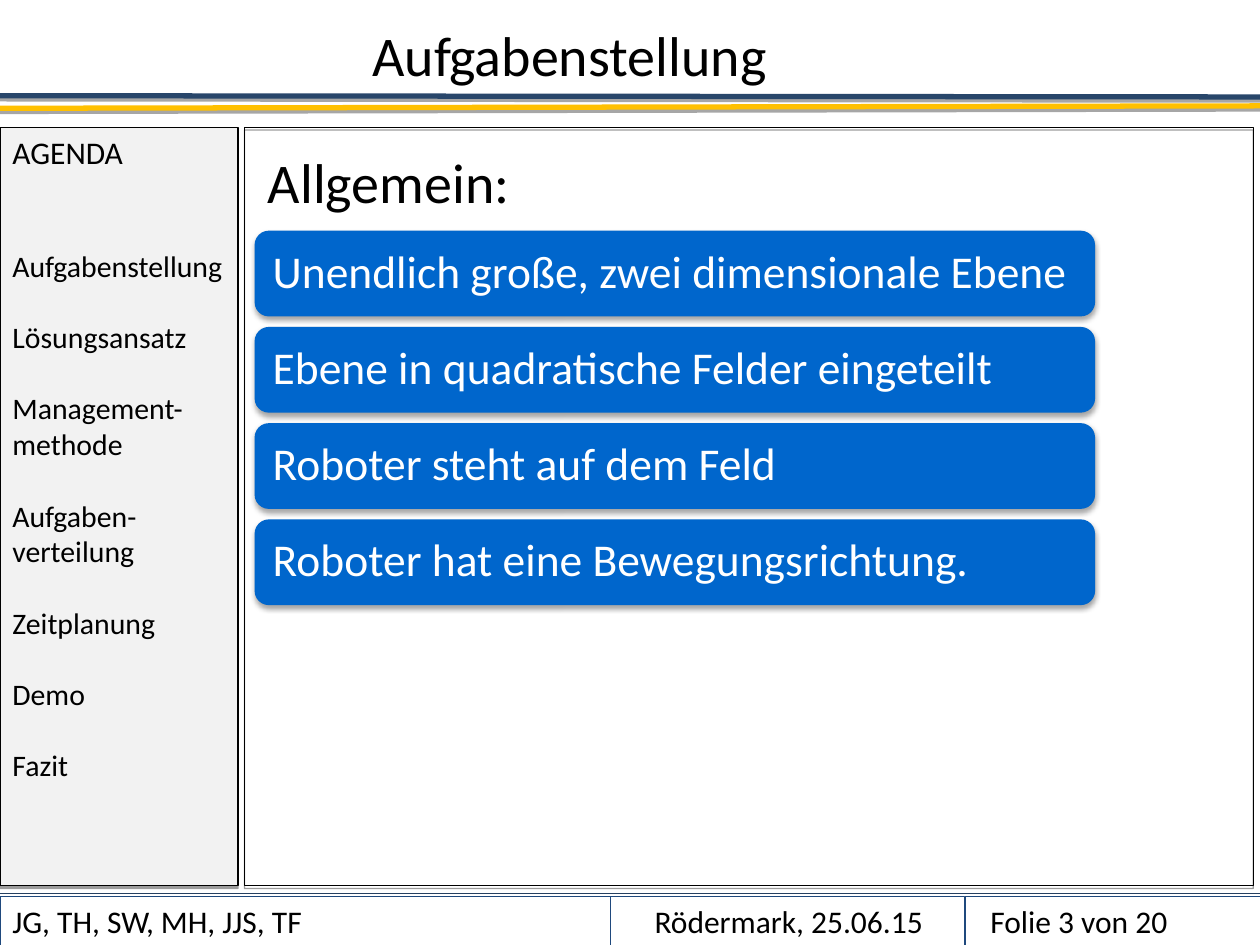
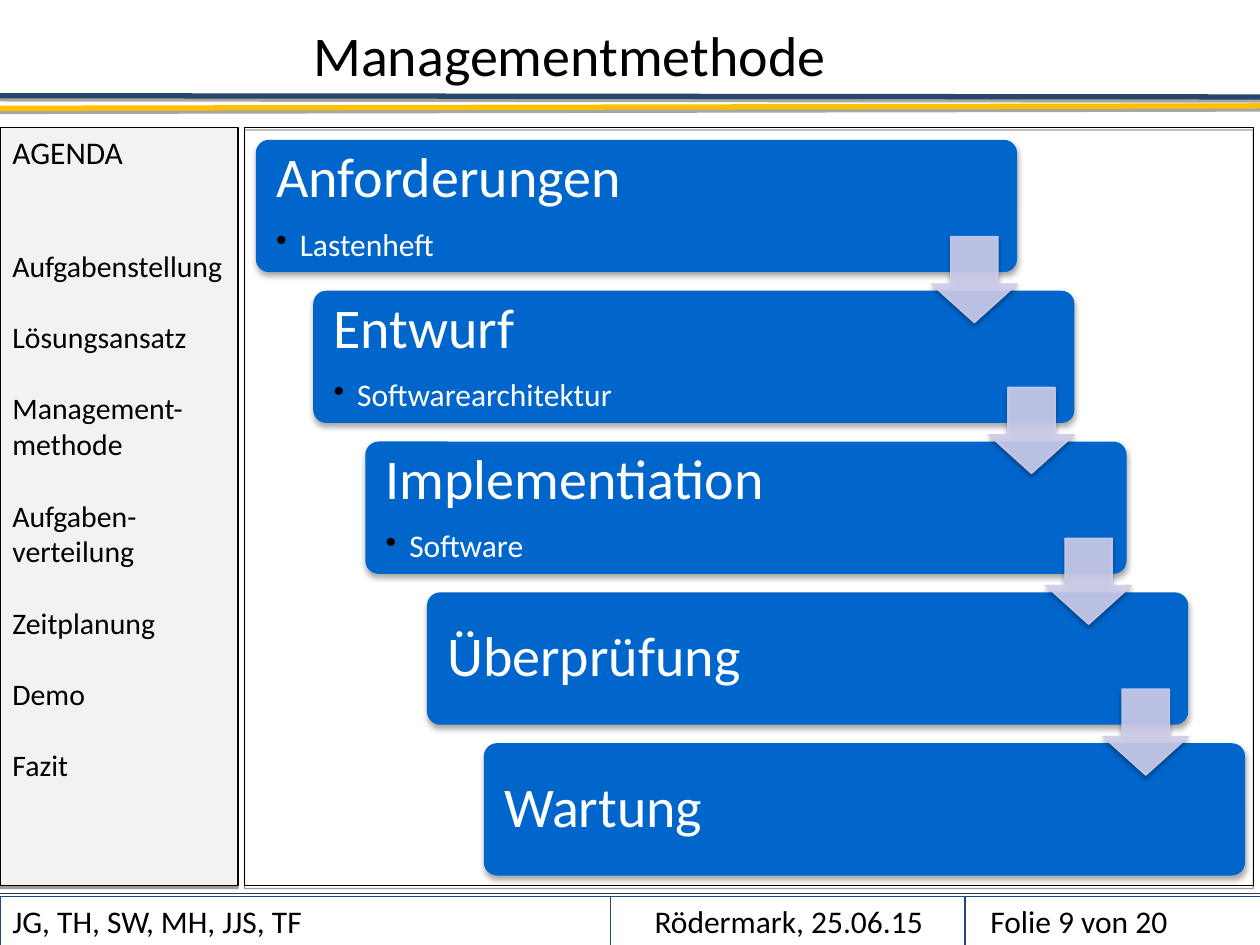
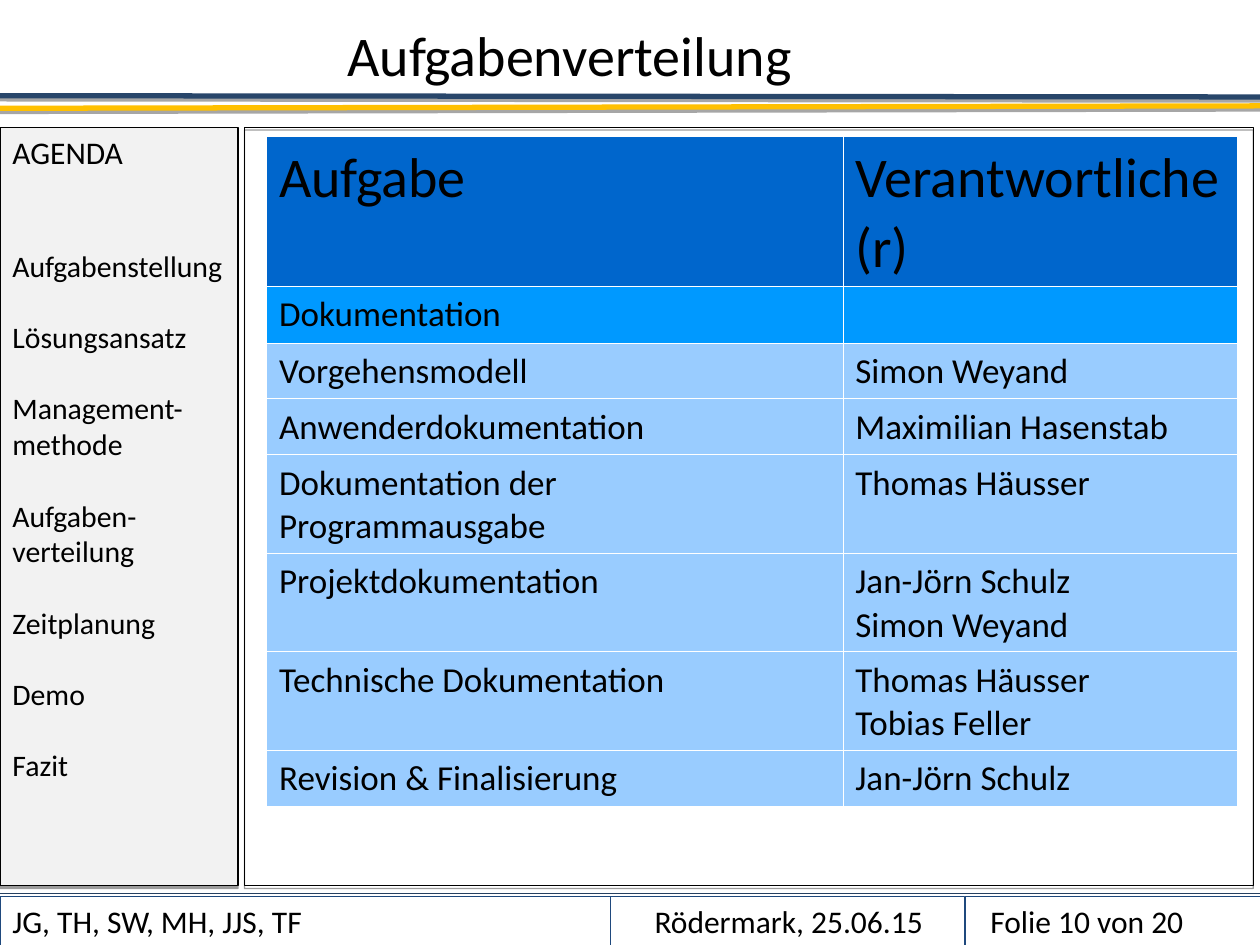
"""Build three project slides with a shared agenda, title and footer."""

from dataclasses import dataclass
from typing import Any, Optional

from lxml.etree import SubElement
from pptx import Presentation
from pptx.dml.color import RGBColor
from pptx.enum.shapes import MSO_CONNECTOR, MSO_SHAPE
from pptx.enum.text import MSO_ANCHOR, PP_ALIGN
from pptx.oxml.ns import qn
from pptx.util import Pt

FONT = "Calibri"
BLACK = "000000"
WHITE = "FFFFFF"
BLUE = "0066CC"
SKY = "0099FF"
PALE_BLUE = "99CCFF"
LILAC = "CECEEC"
PALE_GREY = "F2F2F2"
FOOTER_BLUE = "1F497D"

AGENDA = ["Aufgabenstellung", "Lösungsansatz", "Management-methode", "Aufgaben-verteilung",
          "Zeitplanung", "Demo", "Fazit"]
AGENDA_LINE = 20.4
AGENDA_GAP = 43.5


@dataclass(frozen=True)
class Area:
    """A rectangle in points."""

    left: float
    top: float
    width: float
    height: float

    def lengths(self) -> list[Pt]:
        """Return the four values as lengths."""
        return [Pt(value) for value in (self.left, self.top, self.width, self.height)]


@dataclass(frozen=True)
class Shadow:
    """A shadow that falls straight down."""

    opacity: int
    blur: float
    distance: float


@dataclass(frozen=True)
class Look:
    """Fill, outline and shadow of a shape."""

    fill: Optional[str] = None
    line: Optional[str] = None
    line_width: float = 0.75
    shadow: Optional[Shadow] = None
    opacity: int = 100


@dataclass(frozen=True)
class Rule:
    """A line across the full page."""

    start_top: float
    end_top: float
    colour: str
    width: float
    shadow: Optional[Shadow] = None


@dataclass(frozen=True)
class FooterCell:
    """One cell of the footer."""

    left: float
    width: float
    inset: float
    align: PP_ALIGN
    text: str


@dataclass(frozen=True)
class Step:
    """One stage of the waterfall."""

    left: float
    name: str
    result: Optional[str] = None


@dataclass(frozen=True)
class TaskRow:
    """One row of the task table."""

    height: float
    task: str
    people: tuple[str, ...] = ()
    fill: str = PALE_BLUE
    size: float = 20


RULE_SHADOW = Shadow(35, 0, 1.8)
PANEL_SHADOW = Shadow(38, 0, 1.6)
CARD_SHADOW = Shadow(35, 3.1, 1.8)

SIDEBAR = Look(PALE_GREY, BLACK, shadow=PANEL_SHADOW)
PANEL = Look(line=BLACK, shadow=PANEL_SHADOW)
FOOTER = Look(line=FOOTER_BLUE, line_width=0.25)
CARD = Look(BLUE, shadow=CARD_SHADOW)
ARROW = Look(LILAC, LILAC, shadow=CARD_SHADOW, opacity=90)

RULES = [
    Rule(54.7, 55.4, "28466A", 3, RULE_SHADOW),
    Rule(61.9, 60.5, "FFC000", 3, RULE_SHADOW),
    Rule(510.5, 510.5, "254061", 0.75),
]

FOOTER_CELLS = [
    FooterCell(0, 348.5, 7.2, PP_ALIGN.LEFT, "JG, TH, SW, MH, JJS, TF"),
    FooterCell(348.5, 202.5, 11.5, PP_ALIGN.CENTER, "Rödermark, 25.06.15"),
    FooterCell(551.5, 168.5, 14.4, PP_ALIGN.LEFT, "Folie {number} von 20"),
]

FACTS = [
    "Unendlich große, zwei dimensionale Ebene",
    "Ebene in quadratische Felder eingeteilt",
    "Roboter steht auf dem Feld",
    "Roboter hat eine Bewegungsrichtung.",
]

STEPS = [
    Step(146.2, "Anforderungen", "Lastenheft"),
    Step(179, "Entwurf", "Softwarearchitektur"),
    Step(208.8, "Implementiation", "Software"),
    Step(244, "Überprüfung"),
    Step(276.5, "Wartung"),
]
STEP_PITCH = 86.2
ARROW_SHIFT = 32.65

TASKS = [
    TaskRow(85.3, "Aufgabe", ("Verantwortliche(r)",), BLUE, 32),
    TaskRow(32.5, "Dokumentation", fill=SKY),
    TaskRow(31.6, "Vorgehensmodell", ("Simon Weyand",)),
    TaskRow(32, "Anwenderdokumentation", ("Maximilian Hasenstab",)),
    TaskRow(56.4, "Dokumentation der Programmausgabe", ("Thomas Häusser",)),
    TaskRow(56.2, "Projektdokumentation", ("Jan-Jörn Schulz", "Simon Weyand")),
    TaskRow(56.4, "Technische Dokumentation", ("Thomas Häusser", "Tobias Feller")),
    TaskRow(32, "Revision & Finalisierung", ("Jan-Jörn Schulz",)),
]


def colour(value: str) -> RGBColor:
    """Turn a hex string into a colour."""
    return RGBColor.from_string(value)


def set_format(target: Any, values: dict[str, Any]) -> None:
    """Set each named attribute on the target."""
    for name, value in values.items():
        setattr(target, name, value)


def set_opacity(element: Any, percent: int) -> None:
    """Give a colour element an opacity."""
    SubElement(element, qn("a:alpha"), val=str(percent * 1000))


def set_shadow(shape: Any, shadow: Optional[Shadow]) -> None:
    """Replace the theme shadow by the given one or by none."""
    properties = shape._element.spPr
    effects = properties.find(qn("a:effectLst"))
    if effects is None:
        effects = SubElement(properties, qn("a:effectLst"))
    if shadow:
        outer = SubElement(effects, qn("a:outerShdw"), blurRad=str(Pt(shadow.blur)),
                           dist=str(Pt(shadow.distance)), dir="5400000", rotWithShape="0")
        set_opacity(SubElement(outer, qn("a:srgbClr"), val=BLACK), shadow.opacity)


def add_rule(page: Any, rule: Rule) -> None:
    """Draw a line across the page."""
    line = page.shapes.add_connector(
        MSO_CONNECTOR.STRAIGHT, Pt(0), Pt(rule.start_top), Pt(720), Pt(rule.end_top))
    line.line.color.rgb = colour(rule.colour)
    line.line.width = Pt(rule.width)
    set_shadow(line, rule.shadow)


def add_block(page: Any, kind: MSO_SHAPE, area: Area, look: Look,
              adjustments: tuple[float, ...] = ()) -> Any:
    """Draw a preset shape."""
    block = page.shapes.add_shape(kind, *area.lengths())
    for index, value in enumerate(adjustments):
        block.adjustments[index] = value
    if look.fill:
        block.fill.solid()
        block.fill.fore_color.rgb = colour(look.fill)
    else:
        block.fill.background()
    if look.line:
        block.line.color.rgb = colour(look.line)
        block.line.width = Pt(look.line_width)
    else:
        block.line.fill.background()
    if look.opacity < 100:
        for element in block._element.spPr.iter(qn("a:srgbClr")):
            set_opacity(element, look.opacity)
    block.shadow.inherit = False
    set_shadow(block, look.shadow)
    return block


def set_frame(box: Any, anchor: MSO_ANCHOR, side: float = 7.2, edge: float = 3.6) -> Any:
    """Set wrapping, anchor and margins of a text frame."""
    set_format(box.text_frame, {
        "word_wrap": True, "vertical_anchor": anchor,
        "margin_left": Pt(side), "margin_right": Pt(min(side, 9.5)),
        "margin_top": Pt(edge), "margin_bottom": Pt(edge),
    })
    return box.text_frame


def write(frame: Any, text: str, size: float, ink: str = BLACK, **paragraph: Any) -> Any:
    """Write a paragraph into the frame, using the empty first one if there is one."""
    first = frame.paragraphs[0]
    para = frame.add_paragraph() if first.runs else first
    set_format(para, {"alignment": PP_ALIGN.LEFT} | paragraph)
    span = para.add_run()
    span.text = text
    set_format(span.font, {"name": FONT, "size": Pt(size)})
    span.font.color.rgb = colour(ink)
    return para


def add_bullet(para: Any, indent: float) -> None:
    """Put a black bullet before the paragraph."""
    properties = para._p.get_or_add_pPr()
    properties.set("marL", str(Pt(indent)))
    properties.set("indent", str(-Pt(indent)))
    SubElement(SubElement(properties, qn("a:buClr")), qn("a:srgbClr"), val=BLACK)
    SubElement(properties, qn("a:buChar"), char="•")


def add_text(page: Any, area: Area, text: str, anchor: MSO_ANCHOR, align: PP_ALIGN) -> None:
    """Add a large line of text."""
    box = page.shapes.add_textbox(*area.lengths())
    write(set_frame(box, anchor), text, 32, alignment=align)


def add_page(deck: Any, title: str, number: int) -> Any:
    """Add a page with everything the pages share."""
    page = deck.slides.add_slide(deck.slide_layouts[6])
    for rule in RULES:
        add_rule(page, rule)
    sidebar = add_block(page, MSO_SHAPE.RECTANGLE, Area(0, 72.7, 136, 433.5), SIDEBAR)
    frame = set_frame(sidebar, MSO_ANCHOR.TOP)
    write(frame, "AGENDA", 18)
    for index, topic in enumerate(AGENDA):
        write(frame, topic, 17, space_before=Pt(AGENDA_LINE if index else AGENDA_GAP))
    add_block(page, MSO_SHAPE.RECTANGLE, Area(139.7, 72.7, 576.5, 433.5), PANEL)
    for cell in FOOTER_CELLS:
        area = Area(cell.left, 512, cell.width, 28)
        block = add_block(page, MSO_SHAPE.RECTANGLE, area, FOOTER)
        write(set_frame(block, MSO_ANCHOR.TOP, cell.inset),
              cell.text.format(number=number), 18, alignment=cell.align)
    add_text(page, Area(92, 5.8, 467, 49.7), title, MSO_ANCHOR.MIDDLE, PP_ALIGN.CENTER)
    return page


def add_facts(page: Any) -> None:
    """Draw the general facts as a stack of cards."""
    add_text(page, Area(146, 80.6, 560, 420), "Allgemein:", MSO_ANCHOR.TOP, PP_ALIGN.LEFT)
    for index, fact in enumerate(FACTS):
        area = Area(145.5, 131.8 + 55 * index, 480.3, 49)
        card = add_block(page, MSO_SHAPE.ROUNDED_RECTANGLE, area, CARD)
        write(set_frame(card, MSO_ANCHOR.MIDDLE, 8, 8), fact, 26, WHITE, line_spacing=0.9)


def add_waterfall(page: Any) -> None:
    """Draw the stages and the arrows between them."""
    for index, step in enumerate(STEPS):
        area = Area(step.left, 79.9 + STEP_PITCH * index, 435, 75.6)
        card = add_block(page, MSO_SHAPE.ROUNDED_RECTANGLE, area, CARD, (0.1,))
        frame = set_frame(card, MSO_ANCHOR.MIDDLE, 9.4, 9.4)
        write(frame, step.name, 32, WHITE, line_spacing=0.9, space_after=Pt(11))
        if step.result:
            add_bullet(write(frame, step.result, 18, WHITE, level=1, line_spacing=0.9), 13.5)
    for index in range(len(STEPS) - 1):
        area = Area(532.2 + ARROW_SHIFT * index, 135.2 + STEP_PITCH * index, 49.2, 49.2)
        add_block(page, MSO_SHAPE.DOWN_ARROW, area, ARROW, (0.55, 0.45))


def set_borders(cell: Any) -> None:
    """Give a cell thin white borders."""
    properties = cell._tc.get_or_add_tcPr()
    for index, side in enumerate(("lnL", "lnR", "lnT", "lnB")):
        border = SubElement(properties, qn(f"a:{side}"), w=str(Pt(0.06)))
        SubElement(SubElement(border, qn("a:solidFill")), qn("a:srgbClr"), val=WHITE)
        properties.insert(index, border)


def add_tasks(page: Any) -> None:
    """Draw the table of tasks and the people in charge."""
    height = sum(row.height for row in TASKS)
    area = Area(152.3, 78, 554.4, height)
    table = page.shapes.add_table(len(TASKS), 2, *area.lengths()).table
    set_format(table, {"first_row": False, "horz_banding": False})
    for column, width in zip(table.columns, (329.3, 225.1)):
        column.width = Pt(width)
    for index, row in enumerate(TASKS):
        table.rows[index].height = Pt(row.height)
        for cell, lines in zip(table.rows[index].cells, ((row.task,), row.people)):
            cell.fill.solid()
            cell.fill.fore_color.rgb = colour(row.fill)
            set_borders(cell)
            for line in lines:
                write(cell.text_frame, line, row.size, line_spacing=1.02)


def main() -> None:
    """Build and save the deck."""
    deck = Presentation()
    set_format(deck, {"slide_width": Pt(720), "slide_height": Pt(540)})
    add_facts(add_page(deck, "Aufgabenstellung", 3))
    add_waterfall(add_page(deck, "Managementmethode", 9))
    add_tasks(add_page(deck, "Aufgabenverteilung", 10))
    deck.save("out.pptx")


if __name__ == "__main__":
    main()
